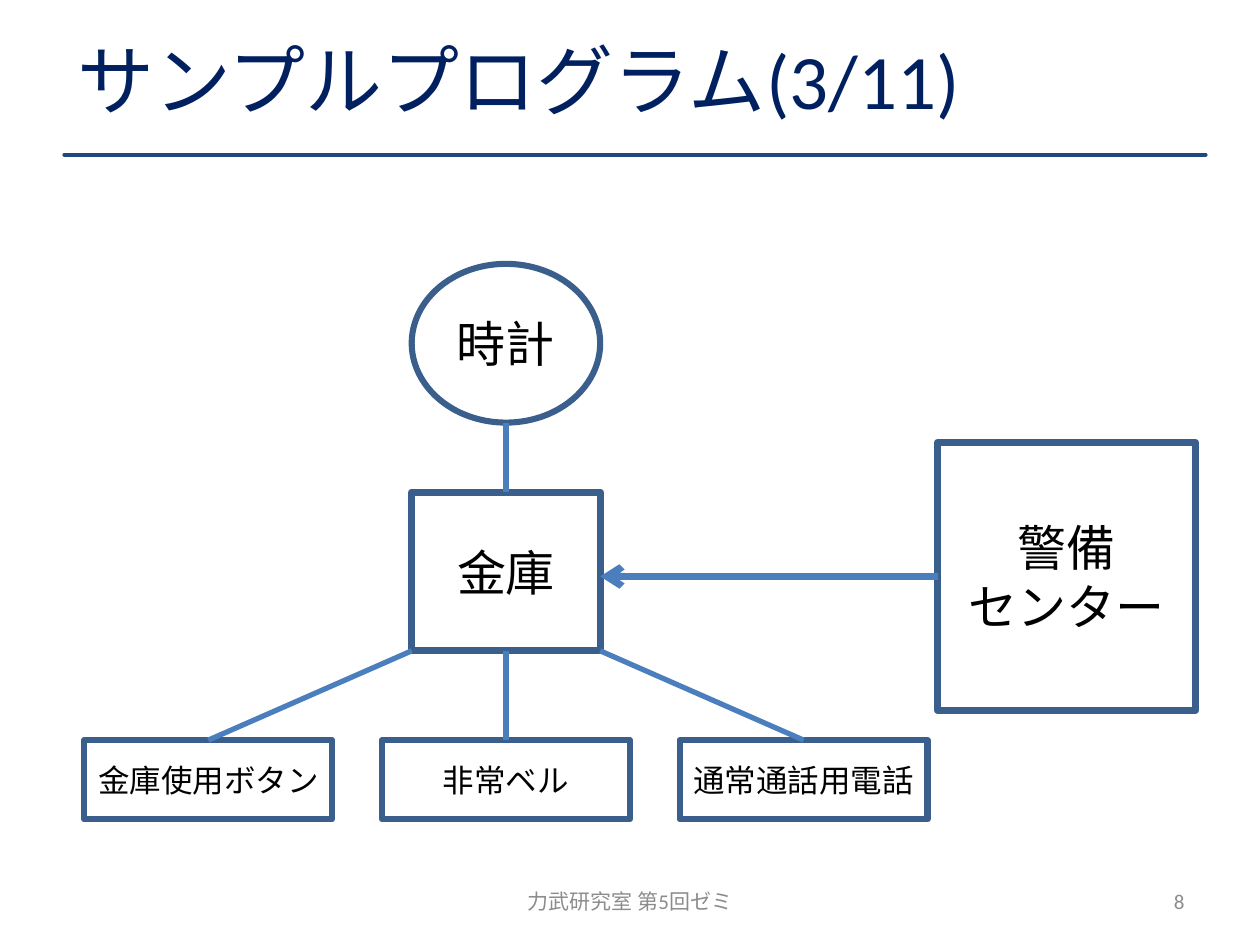
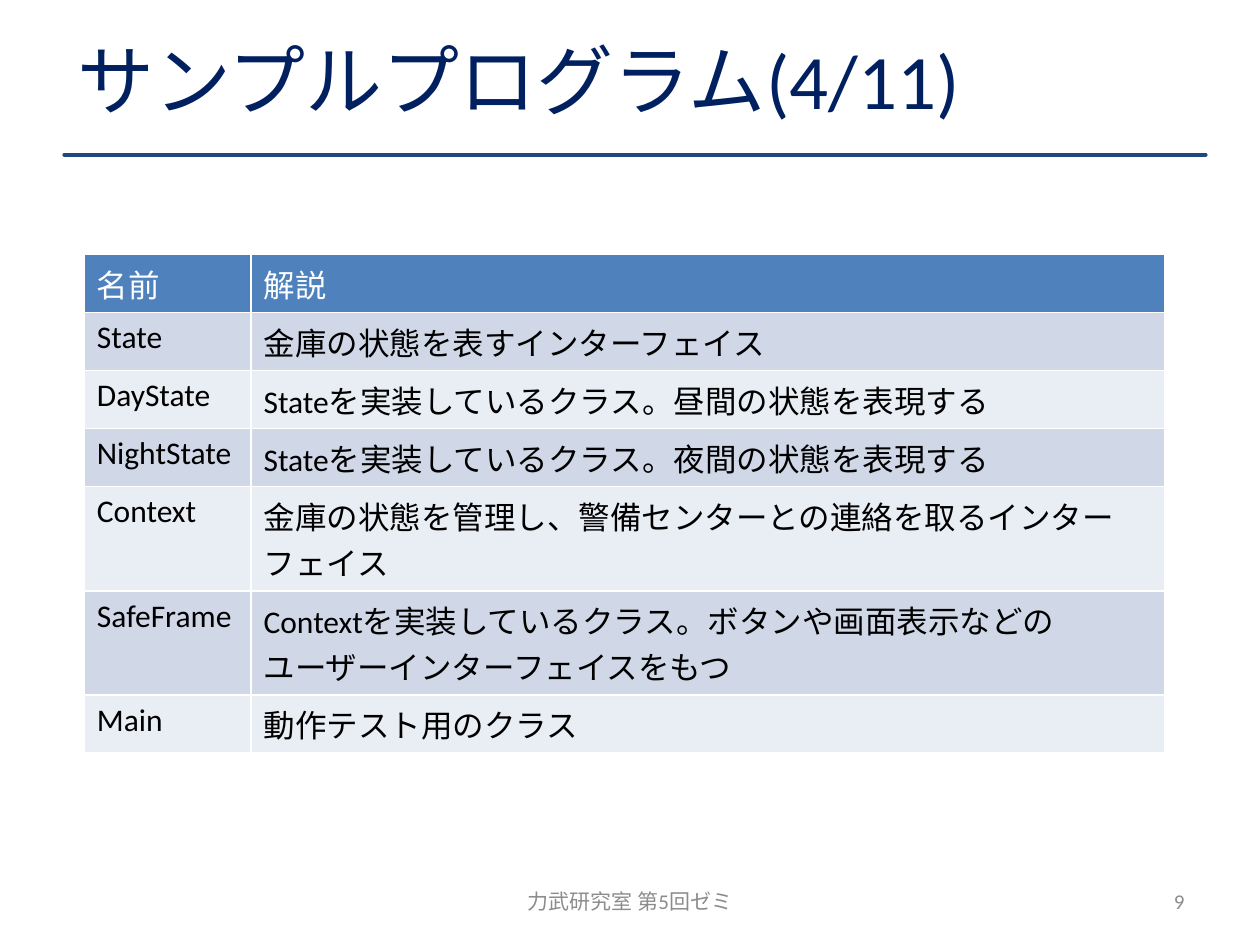
import pptx
import pptx.dml.color
import pptx.enum.shapes
import pptx.enum.text
import pptx.oxml.ns
import pptx.util
from pptx.util import Cm, Pt

SHAPE = pptx.enum.shapes.MSO_SHAPE
ALIGN = pptx.enum.text.PP_ALIGN
MIDDLE = pptx.enum.text.MSO_ANCHOR.MIDDLE

# Content
TITLE = "サンプルプログラム({}/11)"
FOOTER = "力武研究室 第5回ゼミ"
DEVICES = ["金庫使用ボタン", "非常ベル", "通常通話用電話"]
ONE_LINE, TWO_LINES = 1.17, 2.1  # row heights in cm
CLASS_ROWS = [
    (ONE_LINE, "名前", "解説"),
    (ONE_LINE, "State", "金庫の状態を表すインターフェイス"),
    (ONE_LINE, "DayState", "Stateを実装しているクラス。昼間の状態を表現する"),
    (ONE_LINE, "NightState", "Stateを実装しているクラス。夜間の状態を表現する"),
    (TWO_LINES, "Context",
     "金庫の状態を管理し、警備センターとの連絡を取るインターフェイス"),
    (TWO_LINES, "SafeFrame",
     "Contextを実装しているクラス。ボタンや画面表示などの\n"
     "ユーザーインターフェイスをもつ"),
    (ONE_LINE, "Main", "動作テスト用のクラス"),
]

# Shared style
FONT = "Calibri"
COLORS = {
    "title": "002060", "rule": "1F497D", "footer": "8C8C8C",
    "outline": "3A5F8C", "link": "4B7EBC", "text": "000000",
    "white": "FFFFFF", "header": "4F81BD", "band": "D0D8E8", "plain": "E9EDF4",
}


def color(name):
    return pptx.dml.color.RGBColor.from_string(COLORS[name])


def write(frame, text, size, color_name, align=ALIGN.LEFT):
    """Write one paragraph per line of text."""
    frame.word_wrap = True
    for index, line in enumerate(text.split("\n")):
        para = frame.add_paragraph() if index else frame.paragraphs[0]
        para.alignment = align
        span = para.add_run()
        span.text = line
        span.font.name = FONT
        span.font.size = Pt(size)
        span.font.color.rgb = color(color_name)


def add_element(parent, tag, **attributes):
    element = parent.makeelement(pptx.oxml.ns.qn(tag), attributes)
    parent.append(element)
    return element


def add_line(page, start, end, color_name, width, arrow=False, cap="flat"):
    line = page.shapes.add_connector(
        pptx.enum.shapes.MSO_CONNECTOR.STRAIGHT,
        *(Cm(value) for value in (*start, *end)))
    line.line.color.rgb = color(color_name)
    line.line.width = Pt(width)
    outline = line.line._get_or_add_ln()
    outline.set("cap", cap)
    if cap == "rnd":
        add_element(outline, "a:round")
    if arrow:
        add_element(outline, "a:tailEnd", type="arrow")
    add_element(line._element.spPr, "a:effectLst")


def add_node(page, kind, place, text, size, width):
    node = page.shapes.add_shape(kind, *(Cm(value) for value in place))
    node.shadow.inherit = False
    node.fill.background()
    node.line.color.rgb = color("outline")
    node.line.width = Pt(width)
    node.text_frame.vertical_anchor = MIDDLE
    write(node.text_frame, text, size, "text", ALIGN.CENTER)


def add_footer(page, left, width, text, align):
    box = page.shapes.add_textbox(Cm(left), Cm(17.65), Cm(width), Cm(1.02))
    box.text_frame.vertical_anchor = MIDDLE
    write(box.text_frame, text, 12, "footer", align)


def add_page(deck, part, number):
    """Add a page with its title, rule, footer and page number."""
    page = deck.slides.add_slide(deck.slide_layouts.get_by_name("Title Only"))
    add_line(page, (1.3, 3.12), (24.3, 3.12), "rule", 2.5, cap="rnd")
    title = page.shapes.title
    title.left, title.top = Cm(1.3), Cm(0)
    title.width, title.height = Cm(22.86), Cm(3.18)
    title.text_frame.vertical_anchor = MIDDLE
    write(title.text_frame, TITLE.format(part), 44, "title")
    add_footer(page, 8.68, 8.04, FOOTER, ALIGN.CENTER)
    add_footer(page, 18.2, 5.93, str(number), ALIGN.RIGHT)
    return page


def draw_system(page):
    """Clock above the safe, devices below it, security centre at right."""
    axis, node_width, node_height = 10.2, 3.8, 3.2
    left, right = axis - node_width / 2, axis + node_width / 2
    clock_top, safe_top = 5.32, 9.92
    safe_bottom = safe_top + node_height
    device_top, device_width, device_step = 14.92, 5, 6
    center_left, center_top, center_width, center_height = 18.9, 8.92, 5.2, 5.4
    arrow_y = center_top + center_height / 2

    add_node(page, SHAPE.OVAL, (left, clock_top, node_width, node_height),
             "時計", 28, 3.5)
    add_node(page, SHAPE.RECTANGLE, (left, safe_top, node_width, node_height),
             "金庫", 28, 4)
    add_line(page, (axis, clock_top + node_height), (axis, safe_top), "link", 3)

    # Devices hang from the left corner, middle and right corner of the safe
    for index, (name, start) in enumerate(zip(DEVICES, (left, axis, right))):
        middle = axis + (index - 1) * device_step
        add_node(page, SHAPE.RECTANGLE,
                 (middle - device_width / 2, device_top, device_width, 1.6),
                 name, 18, 3.5)
        add_line(page, (start, safe_bottom), (middle, device_top), "link", 3)

    add_node(page, SHAPE.RECTANGLE,
             (center_left, center_top, center_width, center_height),
             "警備\nセンター", 28, 4)
    add_line(page, (center_left, arrow_y), (right, arrow_y), "link", 4, arrow=True)


def style_cell(cell, fill_name):
    properties = cell._tc.get_or_add_tcPr()
    for side in ("L", "R", "T", "B"):
        border = add_element(properties, f"a:ln{side}", w=str(Pt(1)))
        fill = add_element(border, "a:solidFill")
        add_element(fill, "a:srgbClr", val=COLORS["white"])
    cell.fill.solid()
    cell.fill.fore_color.rgb = color(fill_name)


def draw_class_table(page):
    widths = (3.36, 18.41)
    total_height = sum(height for height, *_ in CLASS_ROWS)
    table = page.shapes.add_table(
        len(CLASS_ROWS), len(widths), Cm(1.7), Cm(5.13),
        Cm(sum(widths)), Cm(total_height)).table
    table.first_row = table.horz_banding = False
    for column, width in zip(table.columns, widths):
        column.width = Cm(width)
    for index, (row, (height, *texts)) in enumerate(zip(table.rows, CLASS_ROWS)):
        row.height = Cm(height)
        fill_name = "header" if index == 0 else ("plain", "band")[index % 2]
        for cell, text in zip(row.cells, texts):
            style_cell(cell, fill_name)
            write(cell.text_frame, text, 18, "text" if index else "white")


def main():
    deck = pptx.Presentation()
    deck.slide_width, deck.slide_height = Cm(25.4), Cm(19.05)
    draw_system(add_page(deck, 3, 8))
    draw_class_table(add_page(deck, 4, 9))
    deck.save("out.pptx")


if __name__ == "__main__":
    main()
